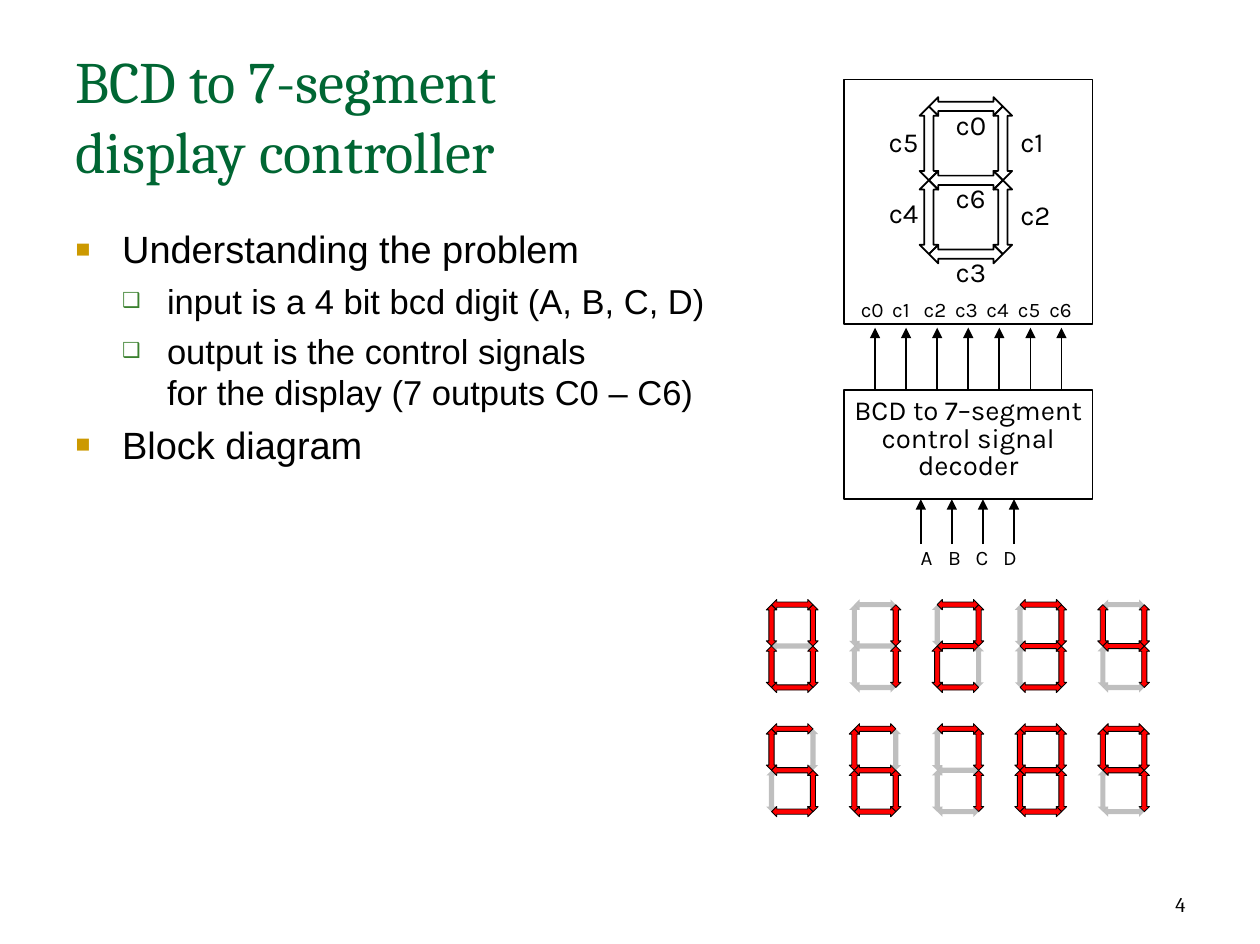
"""Build a slide on a BCD to 7-segment display controller."""
from lxml import etree
from pptx import Presentation
from pptx import util as u
from pptx.dml import color
from pptx.enum import shapes, text
from pptx.oxml import ns

COLORS = {"ink": "000000", "title": "006633", "lit": "FF0000", "unlit": "808080",
          "square": "CC9900", "box": "3B812F"}
SEGMENTS = {5: (0, 0.5, 0), 4: (0, 1.5, 0), 6: (0.5, 1, 90), 1: (1, 0.5, 0),
            2: (1, 1.5, 0), 0: (0.5, 0, 90), 3: (0.5, 2, 90)}
LIT_SEGMENTS = ["012345", "12", "01346", "01236", "1256",
                "02356", "023456", "012", "0123456", "01256"]
PITCH = 18
ALIGN = text.PP_ALIGN


def rgb(name):
    """Return a palette colour."""
    return color.RGBColor.from_string(COLORS[name])


def child(parent, tag, **attributes):
    """Append a DrawingML element."""
    return etree.SubElement(parent, ns.qn("a:" + tag), attributes)


def write(paragraph, words, size, font, ink="ink"):
    """Add one run per line of words, with line breaks between."""
    for number, line in enumerate(words.split("\n")):
        if number:
            paragraph.add_line_break()
        run = paragraph.add_run()
        run.text = line
        run.font.size, run.font.name = u.Pt(size), font
        run.font.color.rgb = rgb(ink)


def text_frame(slide, box, inset=(7.2, 3.6)):
    """Add a wrapping text box and return its frame."""
    frame = slide.shapes.add_textbox(*map(u.Pt, box)).text_frame
    frame.word_wrap = True
    frame.margin_left = frame.margin_right = u.Pt(inset[0])
    frame.margin_top = frame.margin_bottom = u.Pt(inset[1])
    return frame


def label(slide, box, words, size, spacing=13.9, align=ALIGN.LEFT, tab=0):
    """Add a diagram label, with evenly spaced tab stops if tab is set."""
    paragraph = text_frame(slide, box, (1.44, 2.16)).paragraphs[0]
    paragraph.alignment = align
    paragraph.line_spacing = u.Pt(spacing)
    if tab:
        stops = child(paragraph._p.get_or_add_pPr(), "tabLst")
        for stop in range(1, words.count("\t") + 1):
            child(stops, "tab", pos=str(u.Pt(tab * stop)), algn="l")
    write(paragraph, words, size, "Karla")


def outline(slide, box):
    """Draw an unfilled block."""
    block = slide.shapes.add_shape(shapes.MSO_SHAPE.RECTANGLE, *map(u.Pt, box))
    block.shadow.inherit = False
    block.fill.background()
    block.line.color.rgb, block.line.width = rgb("ink"), u.Pt(1)


def signals(slide, left, bottom, top, count):
    """Draw a row of upward signal arrows."""
    for x in (left + PITCH * i for i in range(count)):
        signal = slide.shapes.add_connector(
            shapes.MSO_CONNECTOR.STRAIGHT, u.Pt(x), u.Pt(bottom), u.Pt(x), u.Pt(top))
        signal.line.color.rgb, signal.line.width = rgb("ink"), u.Pt(1)
        properties = signal.element.spPr
        child(properties.find(ns.qn("a:ln")), "tailEnd", type="triangle")
        child(properties, "effectLst")


def seven_segments(slide, left, top, length, thickness, lit=None):
    """Draw one digit, outlined only if lit is None; left and top locate its corner joint."""
    digit = slide.shapes.add_group_shape()
    for number, (x, y, turn) in SEGMENTS.items():
        segment = digit.shapes.add_shape(
            shapes.MSO_SHAPE.UP_DOWN_ARROW,
            u.Pt(left + x * length - thickness / 2), u.Pt(top + (y - 0.5) * length),
            u.Pt(thickness), u.Pt(length))
        segment.rotation = turn
        segment.adjustments[0], segment.adjustments[1] = 1, 0.5
        segment.shadow.inherit = False
        if lit is None:
            segment.fill.background()
        else:
            segment.fill.solid()
            segment.fill.fore_color.rgb = rgb("lit" if str(number) in lit else "unlit")
        if lit is None or str(number) in lit:
            segment.line.color.rgb = rgb("ink")
            segment.line.width = u.Pt(1 if lit is None else 0.5)
        else:
            segment.line.fill.background()
            shade = segment.element.spPr.find(".//" + ns.qn("a:srgbClr"))
            child(shade, "alpha", val="50000")


def title(slide, box):
    """Write the slide title."""
    write(text_frame(slide, box).paragraphs[0],
          "BCD to 7-segment\ndisplay controller", 34, "Cambria", "title")


def outline_points(slide, box):
    """Write the two-level bullet list."""
    points = [(0, "Understanding the problem"),
              (1, "input is a 4 bit bcd digit (A, B, C, D)"),
              (1, "output is the control signals\nfor the display (7 outputs C0 – C6)"),
              (0, "Block diagram")]
    styles = [(22, 27, 27, "square", "65000", "■"), (20, 53, 26, "box", "60000", "❑")]
    frame = text_frame(slide, box)
    for number, (level, words) in enumerate(points):
        size, margin, hanging, tint, scale, mark = styles[level]
        point = frame.add_paragraph() if number else frame.paragraphs[0]
        point.level = level
        point.space_before = u.Pt(5)
        properties = point._p.get_or_add_pPr()
        properties.set("marL", str(u.Pt(margin)))
        properties.set("indent", str(-u.Pt(hanging)))
        child(child(properties, "buClr"), "srgbClr", val=COLORS[tint])
        child(properties, "buSzPct", val=scale)
        child(properties, "buFont", typeface="Arial")
        child(properties, "buChar", char=mark)
        write(point, words, size, "Arial")


def display(slide, box):
    """Draw the display block with its named segments and pins."""
    left, top, width, height = box
    outline(slide, box)
    seven_segments(slide, left + 49.2, top + 15.7, 42.8, 10.8)
    places = [(63.2, 19.5), (100.7, 29.6), (100.7, 72.1), (63.2, 105.2),
              (-2.3, 70.6), (-2.3, 29.6), (63.2, 62)]
    for number, (x, y) in enumerate(places):
        label(slide, (left + x, top + y, 46.8, 24), f"c{number}", 16,
              align=ALIGN.RIGHT if x < 0 else ALIGN.LEFT)
    pins = "\t".join(f"c{number}" for number in range(len(places)))
    label(slide, (left + 8.3, top + height - 17.4, width, 24), pins, 12, tab=18.2)


def decoder(slide, box):
    """Draw the decoder block with its inputs and outputs."""
    left, top, width, height = box
    outline(slide, box)
    label(slide, (left, top + 3, width, 58),
          "BCD to 7–segment\ncontrol signal\ndecoder", 16, 16, ALIGN.CENTER)
    signals(slide, left + PITCH, top - 0.7, top - 36, 7)
    signals(slide, left + 44.5, top + height + 26, top + height, 4)
    label(slide, (left + 43, top + 88, 90, 24), "A\tB\tC\tD", 12, tab=15.9)


def digits(slide, box):
    """Draw the ten digits in two rows of five."""
    left, top, width, height = box
    length, thickness = 24, 6
    for number, lit in enumerate(LIT_SEGMENTS):
        row, column = divmod(number, 5)
        seven_segments(slide, left + thickness / 2 + column * width / 5,
                       top + thickness / 2 + row * height / 2, length, thickness, lit)


def page_number(slide, box):
    """Write the slide number."""
    frame = text_frame(slide, box)
    frame.vertical_anchor = text.MSO_ANCHOR.BOTTOM
    frame.paragraphs[0].alignment = ALIGN.RIGHT
    write(frame.paragraphs[0], "4", 12, "Cambria")


def main():
    """Place every region and save the deck."""
    deck = Presentation()
    deck.slide_width, deck.slide_height = u.Pt(730), u.Pt(547.2)
    slide = deck.slides.add_slide(deck.slide_layouts[6])
    title(slide, (36.7, 22.3, 440, 90.7))
    outline_points(slide, (36.7, 127.4, 440, 361))
    display(slide, (489, 46, 144, 142))
    decoder(slide, (489, 226, 144, 63.4))
    digits(slide, (444, 347.5, 240, 144))
    page_number(slide, (523.4, 498.2, 170.6, 36.7))
    deck.save("out.pptx")


main()
